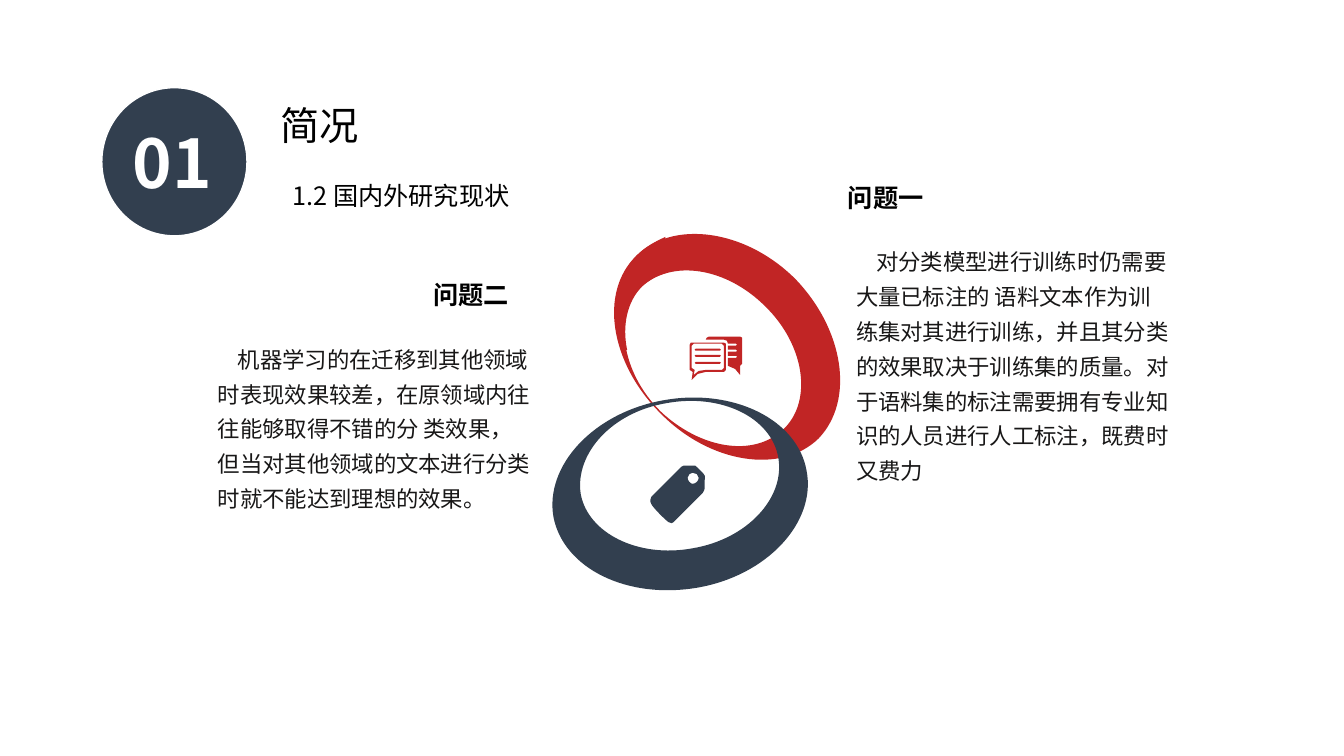
from itertools import chain
from lxml import etree
from pptx import Presentation
from pptx.dml.color import RGBColor
from pptx.enum import shapes, text
from pptx.oxml import ns
from pptx.util import Inches, Pt

FONT = "Noto Sans CJK SC"
COLORS = {"navy": "323F4F", "red": "C12525", "black": "000000", "ink": "181717", "white": "FFFFFF"}


def write(shape, wording, size, color, bold=False, align="LEFT", spacing=1.0,
          inset=(0.1, 0.05), indent=0, anchor="TOP"):
    frame = shape.text_frame
    frame.text = wording
    paragraph = frame.paragraphs[0]
    properties = paragraph._p.get_or_add_pPr()
    properties.set("marL", "0")
    properties.set("indent", str(Inches(indent)))
    etree.SubElement(properties, ns.qn("a:buNone"))
    font = paragraph.runs[0].font
    formats = (
        (frame, {"word_wrap": True, "auto_size": text.MSO_AUTO_SIZE.NONE,
                 "vertical_anchor": text.MSO_ANCHOR[anchor],
                 "margin_left": Inches(inset[0]), "margin_right": Inches(inset[0]),
                 "margin_top": Inches(inset[1]), "margin_bottom": Inches(inset[1])}),
        (paragraph, {"alignment": text.PP_ALIGN[align], "line_spacing": spacing,
                     "space_before": Pt(0)}),
        (font, {"name": FONT, "size": Pt(size), "bold": bold}),
    )
    for target, values in formats:
        for name, value in values.items():
            setattr(target, name, value)
    font.color.rgb = RGBColor.from_string(COLORS[color])
    etree.SubElement(font._element, ns.qn("a:ea"), typeface=FONT)


def draw(slide, contours, color, curved=True):
    builder = None
    for contour in contours:
        points = [(Inches(x), Inches(y)) for x, y in contour]
        if builder is None:
            builder = slide.shapes.build_freeform(*points[0], scale=1.0)
        else:
            builder.move_to(*points[0])
        builder.add_line_segments(points[1:], close=True)
    shape = builder.convert_to_shape()
    if curved:
        segments = list(shape._element.iter(ns.qn("a:lnTo")))
        for start in range(0, len(segments), 3):
            curve = etree.Element(ns.qn("a:cubicBezTo"))
            segments[start].addprevious(curve)
            for segment in segments[start:start + 3]:
                curve.append(segment[0])
                segment.getparent().remove(segment)
    shape.shadow.inherit = False
    shape.fill.solid()
    shape.fill.fore_color.rgb = RGBColor.from_string(COLORS[color])
    shape.line.fill.background()


presentation = Presentation()
presentation.slide_width = Inches(13.33)
presentation.slide_height = Inches(7.5)
slide = presentation.slides.add_slide(presentation.slide_layouts.get_by_name("Comparison"))

red_ring = [
    [(6.31, 2.54), (5.94, 2.9), (6.05, 3.6), (6.55, 4.1), (7.04, 4.6), (7.75, 4.71), (8.12, 4.35),
     (8.48, 3.97), (8.37, 3.27), (7.89, 2.77), (7.39, 2.27), (6.67, 2.18), (6.31, 2.54)],
    [(7.78, 4.25), (7.48, 4.55), (6.94, 4.45), (6.55, 4.08), (6.16, 3.69), (6.08, 3.13), (6.36, 2.85),
     (6.66, 2.57), (7.2, 2.65), (7.59, 3.04), (7.98, 3.42), (8.06, 3.97), (7.78, 4.25)],
]
navy_ring = [
    [(8, 4.67), (7.91, 4.16), (7.27, 3.85), (6.59, 3.97), (5.89, 4.09), (5.4, 4.62), (5.49, 5.13),
     (5.59, 5.64), (6.22, 5.95), (6.92, 5.83), (7.61, 5.71), (8.1, 5.18), (8, 4.67)],
    [(5.76, 4.9), (5.7, 4.5), (6.07, 4.09), (6.61, 4), (7.15, 3.9), (7.65, 4.14), (7.72, 4.54),
     (7.79, 4.94), (7.41, 5.35), (6.87, 5.44), (6.33, 5.54), (5.83, 5.29), (5.76, 4.9)],
]
red_overlap = [
    [(6.37, 2.84), (6.44, 2.77), (6.52, 2.73), (6.6, 2.71), (6.6, 2.35), (6.6, 2.35), (6.6, 2.35),
     (6.49, 2.4), (6.4, 2.45), (6.32, 2.53), (6.09, 2.76), (6.05, 3.11), (6.16, 3.47),
     (6.22, 3.47), (6.22, 3.47), (6.22, 3.47), (6.17, 3.23), (6.22, 2.99), (6.37, 2.84)],
]
tag = [
    [(6.63, 5.18), (6.6, 5.16), (6.47, 5.03), (6.46, 5), (6.45, 4.99), (6.45, 4.97), (6.45, 4.96),
     (6.45, 4.95), (6.46, 4.94), (6.46, 4.93), (6.74, 4.65), (6.74, 4.65), (6.74, 4.65),
     (6.75, 4.63), (6.76, 4.63), (6.78, 4.62), (6.86, 4.62), (6.86, 4.62), (6.86, 4.62),
     (6.88, 4.61), (6.91, 4.62), (6.92, 4.64), (6.97, 4.69), (6.97, 4.69), (6.97, 4.69),
     (6.99, 4.71), (7, 4.73), (6.99, 4.76), (6.99, 4.84), (6.99, 4.84), (6.99, 4.84),
     (6.99, 4.86), (6.98, 4.87), (6.97, 4.89), (6.69, 5.17), (6.69, 5.17), (6.69, 5.17),
     (6.68, 5.18), (6.67, 5.19), (6.66, 5.19), (6.65, 5.19), (6.64, 5.19), (6.63, 5.18)],
    [(6.87, 4.69), (6.85, 4.69), (6.82, 4.71), (6.82, 4.74), (6.82, 4.77), (6.85, 4.8), (6.87, 4.8),
     (6.9, 4.8), (6.93, 4.77), (6.93, 4.74), (6.93, 4.71), (6.9, 4.69), (6.87, 4.69)],
]
for contours, color in ((red_ring, "red"), (navy_ring, "navy"), (red_overlap, "red"), (tag, "navy")):
    draw(slide, contours, color)

notches = chain.from_iterable(
    [(7.22, y), (7.3, y), (7.31, y + 0.01), (7.3, y + 0.02), (7.22, y + 0.02)]
    for y in (3.41, 3.47, 3.53))
back_bubble = [(7, 3.37), (7.01, 3.35), (7.03, 3.34), (7.34, 3.34), (7.36, 3.35), (7.36, 3.61),
               (7.34, 3.63), (7.34, 3.72), (7.29, 3.66), (7.22, 3.63), *reversed(list(notches)),
               (7.21, 3.38), (7.18, 3.37)]
front_bubble = [(6.84, 3.42), (6.85, 3.4), (6.87, 3.4), (7.18, 3.4), (7.2, 3.41), (7.2, 3.67),
                (7.18, 3.69), (7, 3.69), (6.92, 3.71), (6.86, 3.77), (6.87, 3.69), (6.84, 3.67)]
front_inside = [(6.86, 3.43), (6.88, 3.41), (7.16, 3.41), (7.18, 3.43), (7.18, 3.65), (7.16, 3.67),
                (7, 3.67), (6.93, 3.68), (6.88, 3.72), (6.89, 3.67), (6.86, 3.65)]
front_lines = [[(6.9, y), (7.14, y), (7.15, y + 0.01), (7.14, y + 0.02), (6.9, y + 0.02), (6.89, y + 0.01)]
               for y in (3.46, 3.52, 3.59)]
draw(slide, [back_bubble, front_bubble, front_inside, *front_lines], "red", curved=False)

heading = {"size": 18, "color": "black", "bold": True, "align": "JUSTIFY"}
body = {"size": 16, "color": "ink", "spacing": 1.3, "indent": 0.2}
placeholder_texts = (
    (0, (2.78, 1, 6.2, 0.47), "简况", {"size": 28, "color": "black", "inset": (0, 0)}),
    (1, (8.31, 1.76, 2.12, 0.42), "问题一", heading),
    (2, (8.39, 2.33, 3.34, 2.52),
     "对分类模型进行训练时仍需要大量已标注的 语料文本作为训练集对其进行训练，并且其分类的效果取决于训练集的质量。"
     "对于语料集的标注需要拥有专业知识的人员进行人工标注，既费时又费力", body),
    (3, (4.2, 2.72, 2.12, 0.42), "问题二", heading),
    (4, (2.06, 3.3, 3.34, 1.82),
     "机器学习的在迁移到其他领域时表现效果较差，在原领域内往往能够取得不错的分 类效果，"
     "但当对其他领域的文本进行分类时就不能达到理想的效果。", body),
)
placeholders = {shape.placeholder_format.idx: shape for shape in slide.placeholders}
for index, box, wording, style in placeholder_texts:
    shape = placeholders[index]
    shape.left, shape.top, shape.width, shape.height = map(Inches, box)
    write(shape, wording, **style)

subtitle = slide.shapes.add_textbox(*map(Inches, (2.9, 1.64, 4.13, 0.41)))
write(subtitle, "1.2 国内外研究现状", 18, "black", spacing=1.5, inset=(0, 0))

badge = slide.shapes.add_shape(shapes.MSO_SHAPE.OVAL, *map(Inches, (1.01, 0.87, 1.44, 1.47)))
badge.shadow.inherit = False
badge.fill.solid()
badge.fill.fore_color.rgb = RGBColor.from_string(COLORS["navy"])
badge.line.color.rgb = RGBColor.from_string(COLORS["white"])
badge.line.width = Pt(1)
write(badge, "01", 48, "white", bold=True, anchor="MIDDLE")

presentation.save("out.pptx")
